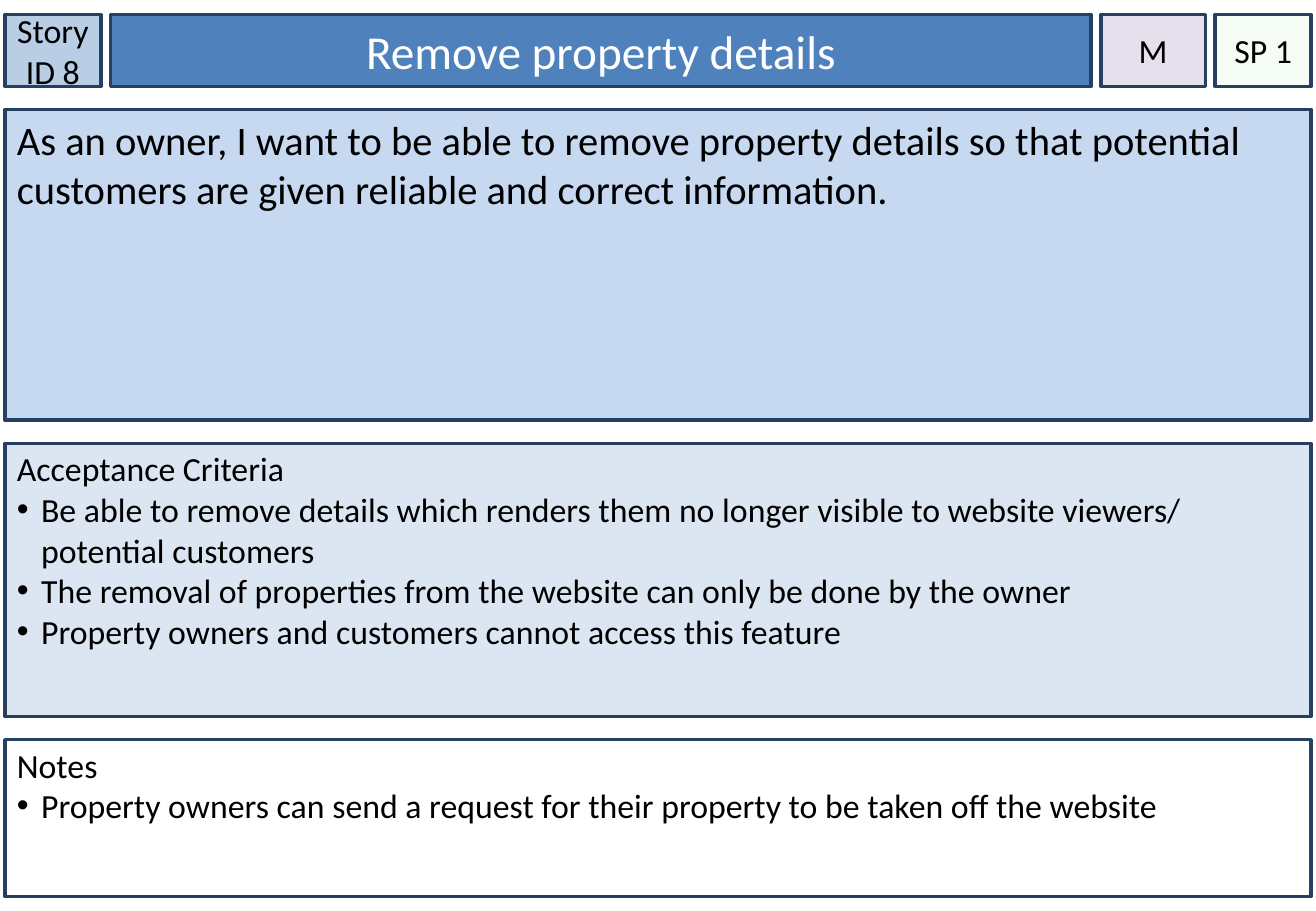
"""Build a user story card: a header strip above three stacked panels."""
from dataclasses import dataclass
from itertools import accumulate
from typing import Any

from lxml.etree import SubElement
from pptx import Presentation
from pptx.dml.color import RGBColor as RGB
from pptx.enum.shapes import MSO_SHAPE as Preset
from pptx.enum.text import MSO_ANCHOR as Anchor, MSO_AUTO_SIZE as Fit, PP_ALIGN as Align
from pptx.oxml.ns import qn
from pptx.util import Inches, Pt

COLUMNS, ROWS = 1083, 750
LEFT, TOP = 4, 12
COLUMN_GAP, ROW_GAP = 8, 19
HEADER_WIDTHS = (79, 807, 86, 79)
BAND_HEIGHTS = (59, 256, 225, 129)
HEADER_MARGINS = {"margin_left": 0, "margin_right": 0}
LIST_MARGINS = {"margin_top": Inches(0.04)}
BULLET_INDENT = Inches(0.2)


@dataclass(frozen=True)
class Theme:
    font: str = "Calibri"
    ink: str = "000000"
    outline: str = "254061"
    outline_width: float = 2
    white: str = "FFFFFF"
    story_id: str = "B9CDE5"
    title: str = "4F81BD"
    priority: str = "E6E0EC"
    points: str = "CCF0CD"
    points_opacity: int = 20
    story: str = "C6D9F1"
    criteria: str = "DCE6F2"
    body_size: int = 20
    story_size: int = 24
    title_size: int = 28


THEME = Theme()


@dataclass(frozen=True)
class Panel:
    band: int
    fill: str
    lines: tuple[str, ...]
    size: int = THEME.body_size
    ink: str = THEME.ink
    cell: int | None = None
    opacity: int = 100
    wrap: bool = True
    is_title: bool = False


PANELS = (
    Panel(0, THEME.title, ("Remove property details",), THEME.title_size, THEME.white,
          cell=1, is_title=True),
    Panel(0, THEME.story_id, ("Story ID 8",), cell=0),
    Panel(1, THEME.story, (
        "As an owner, I want to be able to remove property details so that potential "
        "customers are given reliable and correct information.",), THEME.story_size),
    Panel(2, THEME.criteria, (
        "Acceptance Criteria",
        "Be able to remove details which renders them no longer visible to website "
        "viewers/ potential customers",
        "The removal of properties from the website can only be done by the owner",
        "Property owners and customers cannot access this feature")),
    Panel(0, THEME.points, ("SP 1",), cell=3, opacity=THEME.points_opacity),
    Panel(0, THEME.priority, ("M",), cell=2, wrap=False),
    Panel(3, THEME.white, (
        "Notes",
        "Property owners can send a request for their property to be taken off the website")),
)


def apply(target: Any, values: dict[str, Any]) -> None:
    for name, value in values.items():
        setattr(target, name, value)


def starts(first: int, lengths: tuple[int, ...], gap: int) -> list[int]:
    return list(accumulate((length + gap for length in lengths[:-1]), initial=first))


def place(panel: Panel, column: int, row: int) -> dict[str, int]:
    lefts = starts(LEFT, HEADER_WIDTHS, COLUMN_GAP)
    tops = starts(TOP, BAND_HEIGHTS, ROW_GAP)
    full_width = COLUMNS - 2 * LEFT
    left, width = ((LEFT, full_width) if panel.cell is None
                   else (lefts[panel.cell], HEADER_WIDTHS[panel.cell]))
    return {"left": left * column, "top": tops[panel.band] * row,
            "width": width * column, "height": BAND_HEIGHTS[panel.band] * row}


def paint(shape: Any, panel: Panel) -> None:
    shape.fill.solid()
    shape.fill.fore_color.rgb = RGB.from_string(panel.fill)
    if panel.opacity < 100:
        color = shape.fill._xPr.find(qn("a:solidFill"))[0]
        SubElement(color, qn("a:alpha"), val=str(panel.opacity * 1000))
    shape.line.color.rgb = RGB.from_string(THEME.outline)
    shape.line.width = Pt(THEME.outline_width)


def add_bullet(paragraph: Any) -> None:
    properties = paragraph._p.get_or_add_pPr()
    properties.set("marL", str(BULLET_INDENT))
    properties.set("indent", str(-BULLET_INDENT))
    SubElement(properties, qn("a:buFont"), typeface="Arial")
    SubElement(properties, qn("a:buChar"), char="•")


def write(shape: Any, panel: Panel) -> None:
    in_header = panel.cell is not None
    frame = shape.text_frame
    apply(frame, {"word_wrap": panel.wrap, "auto_size": Fit.NONE,
                  "vertical_anchor": Anchor.MIDDLE if in_header else Anchor.TOP})
    if in_header and not panel.is_title:
        apply(frame, HEADER_MARGINS)
    if len(panel.lines) > 1:
        apply(frame, LIST_MARGINS)
    for index, line in enumerate(panel.lines):
        paragraph = frame.add_paragraph() if index else frame.paragraphs[0]
        paragraph.alignment = Align.CENTER if in_header else Align.LEFT
        if index:
            add_bullet(paragraph)
        run = paragraph.add_run()
        run.text = line
        apply(run.font, {"name": THEME.font, "size": Pt(panel.size)})
        run.font.color.rgb = RGB.from_string(panel.ink)


def draw(slide: Any, panel: Panel, column: int, row: int) -> None:
    spot = place(panel, column, row)
    if panel.is_title:
        shape = slide.shapes.title
        apply(shape, spot)
    else:
        shape = slide.shapes.add_shape(Preset.RECTANGLE, **spot)
        shape.shadow.inherit = False
    paint(shape, panel)
    write(shape, panel)


def main() -> None:
    deck = Presentation()
    apply(deck, {"slide_width": Inches(10.83), "slide_height": Inches(7.5)})
    column, row = deck.slide_width // COLUMNS, deck.slide_height // ROWS
    card = deck.slides.add_slide(deck.slide_layouts.get_by_name("Title Only"))
    for panel in PANELS:
        draw(card, panel, column, row)
    deck.save("out.pptx")


if __name__ == "__main__":
    main()
